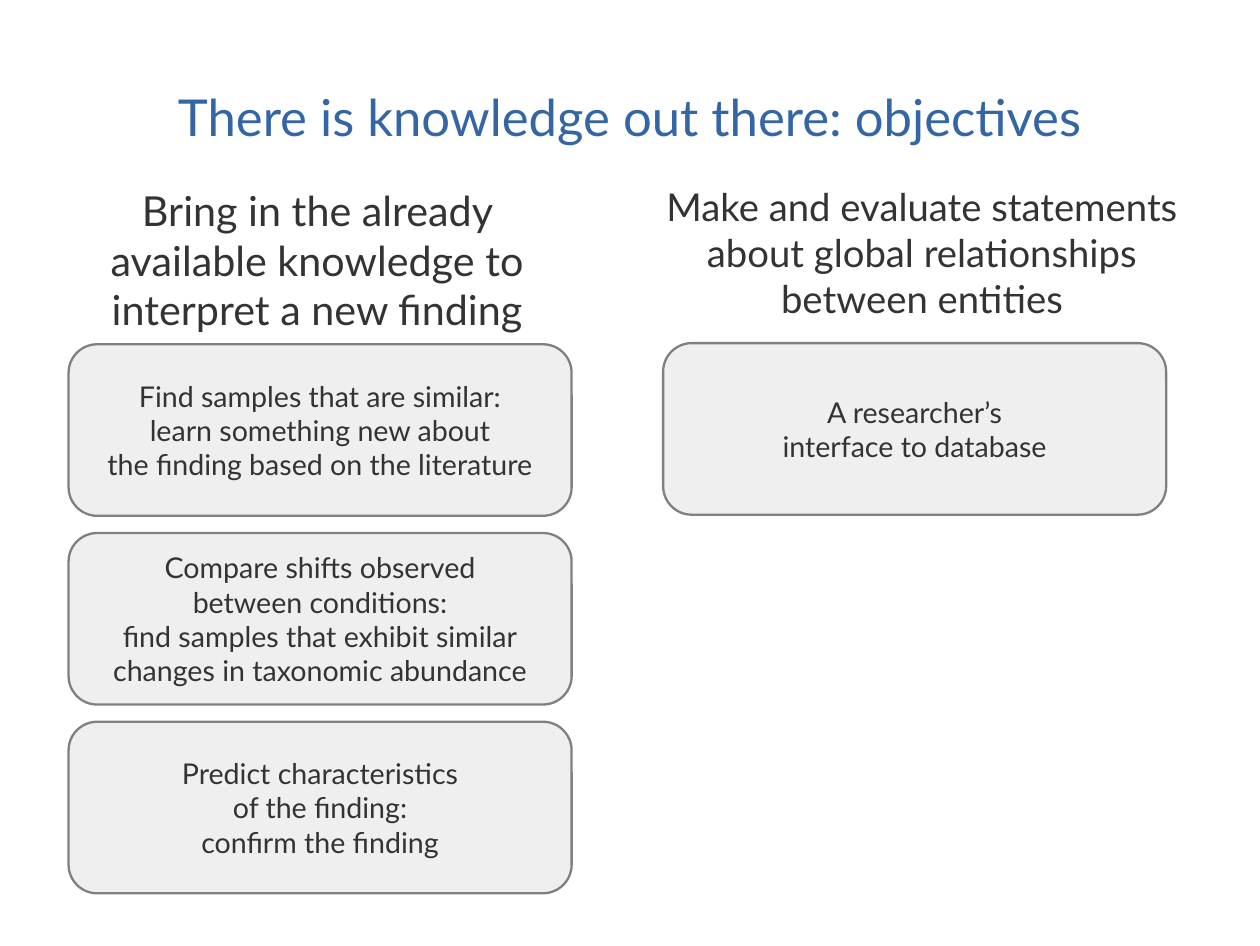
from pptx import Presentation
from pptx.dml.color import RGBColor
from pptx.enum.shapes import MSO_SHAPE
from pptx.enum.text import MSO_ANCHOR, PP_ALIGN
from pptx.oxml.ns import qn
from pptx.util import Inches, Pt
from lxml.etree import SubElement

FONT = "Lato"
BLUE = RGBColor(0x34, 0x65, 0xA4)
DARK = RGBColor(0x33, 0x33, 0x33)
GRAY = RGBColor(0x80, 0x80, 0x80)
PALE = RGBColor(0xEE, 0xEE, 0xEE)

CARD_WIDTH, CARD_HEIGHT, CARD_STEP = 4.4, 1.5, 1.65

# Each card holds paragraphs; a newline is a line break inside one
FINDING_CARDS = [
    ["Find samples that are similar:",
     "learn something new about\nthe finding based on the literature"],
    ["Compare shifts observed\nbetween conditions:",
     "find samples that exhibit similar\nchanges in taxonomic abundance"],
    ["Predict characteristics\nof the finding:", "confirm the finding"],
]
STATEMENT_CARDS = [["A researcher’s", "interface to database"]]


def fill_text(text_frame, texts, size, color, margins=(0, 0)):
    text_frame.margin_left = text_frame.margin_right = Inches(margins[0])
    text_frame.margin_top = text_frame.margin_bottom = Inches(margins[1])
    for index, text in enumerate(texts):
        paragraph = text_frame.add_paragraph() if index else text_frame.paragraphs[0]
        paragraph.text = text
        paragraph.alignment = PP_ALIGN.CENTER
        paragraph.font.name = FONT
        paragraph.font.size = Pt(size)
        paragraph.font.color.rgb = color


def add_heading(slide, text, position, size, color=DARK, anchor=MSO_ANCHOR.TOP):
    box = slide.shapes.add_textbox(*map(Inches, position))
    box.text_frame.word_wrap = True
    box.text_frame.vertical_anchor = anchor
    fill_text(box.text_frame, [text], size, color)


def add_card(slide, texts, left, top):
    card = slide.shapes.add_shape(
        MSO_SHAPE.ROUNDED_RECTANGLE, Inches(left), Inches(top),
        Inches(CARD_WIDTH), Inches(CARD_HEIGHT))
    card.shadow.inherit = False
    card.fill.solid()
    card.fill.fore_color.rgb = PALE
    # Fill at 90% opacity
    color = card.fill._xPr.find(qn("a:solidFill")).find(qn("a:srgbClr"))
    SubElement(color, qn("a:alpha")).set("val", "90000")
    card.line.color.rgb = GRAY
    card.line.width = Pt(1.45)
    card.text_frame.word_wrap = False
    card.text_frame.vertical_anchor = MSO_ANCHOR.MIDDLE
    fill_text(card.text_frame, texts, 18, DARK, margins=(0.11, 0.06))


def add_card_column(slide, cards, left, top):
    for index, texts in enumerate(cards):
        add_card(slide, texts, left, top + index * CARD_STEP)


def main():
    presentation = Presentation()
    presentation.slide_width = Inches(11.02)
    presentation.slide_height = Inches(8.27)
    slide = presentation.slides.add_slide(presentation.slide_layouts[6])

    # Title
    add_heading(slide, "There is knowledge out there: objectives",
                (0.55, 0.33, 9.92, 1.38), 32, BLUE, MSO_ANCHOR.MIDDLE)

    # Left column: interpreting a finding
    add_heading(slide, "Bring in the already available knowledge to interpret a new finding",
                (0.55, 1.62, 4.45, 2.23), 26)
    add_card_column(slide, FINDING_CARDS, 0.6, 3.01)

    # Right column: global statements
    add_heading(slide, "Make and evaluate statements about global relationships between entities",
                (5.53, 1.6, 5.07, 1.6), 24.1)
    add_card_column(slide, STATEMENT_CARDS, 5.8, 3)

    presentation.save("out.pptx")


if __name__ == "__main__":
    main()
